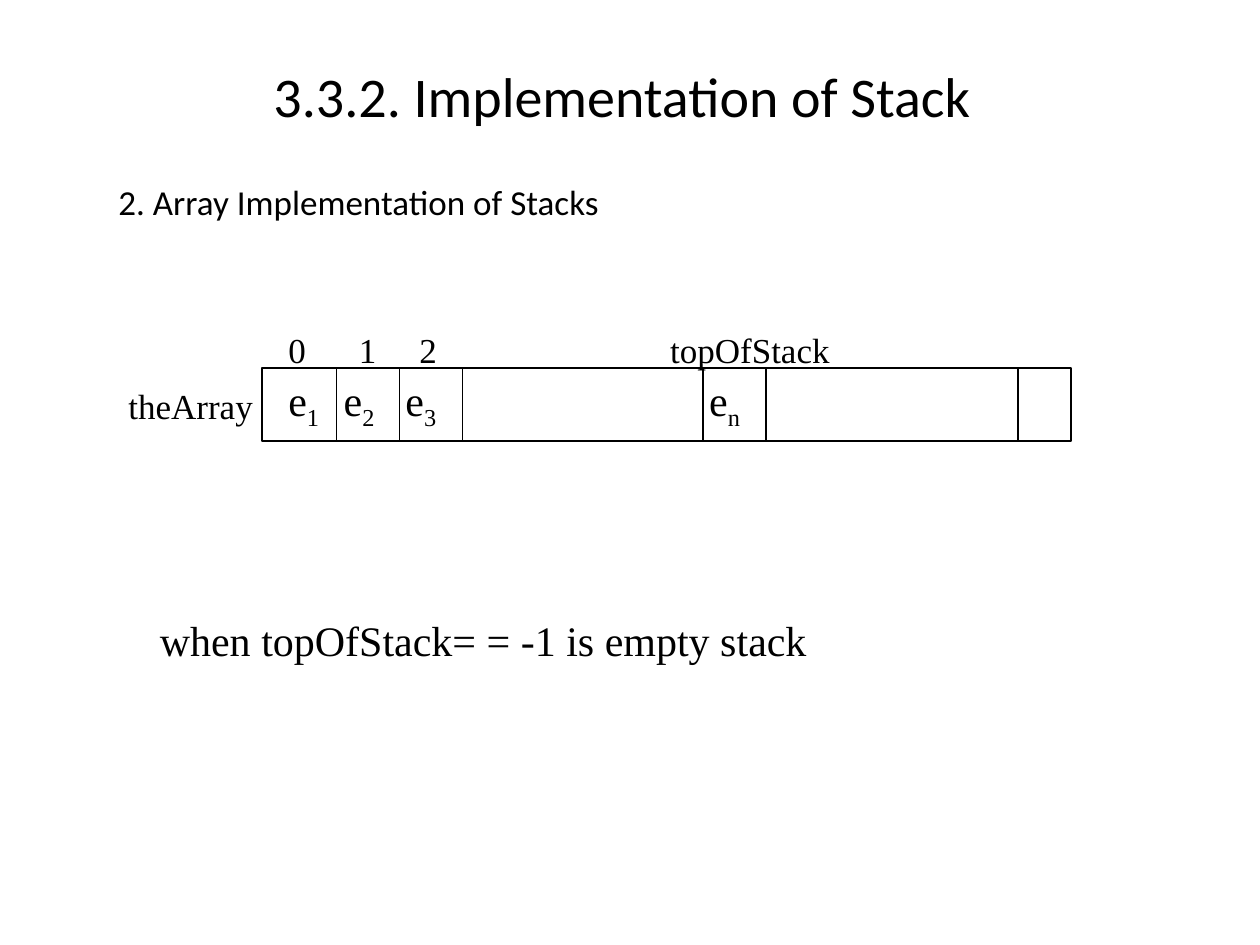
from dataclasses import dataclass

from pptx import Presentation
from pptx.dml.color import RGBColor
from pptx.enum.shapes import MSO_CONNECTOR, MSO_SHAPE
from pptx.enum.text import MSO_ANCHOR, PP_ALIGN
from pptx.oxml.ns import qn
from pptx.util import Inches, Pt
from lxml.etree import SubElement

BLACK = "000000"
ARRAY_LEFT, ARRAY_TOP, ARRAY_WIDTH, ARRAY_HEIGHT = 2.08, 2.92, 6.42, 0.58
DIVIDERS = [2.67, 3.17, 3.67, 5.58, 6.08, 8.08]


@dataclass
class Label:
    text: str
    left: float
    top: float
    width: float
    height: float = 0.43
    size: int = 20
    subscript: str = ""


INDEX_TOP = 2.56
LABELS = [
    Label("theArray", 0.92, 3, 1.42),
    Label("0", 2.19, INDEX_TOP, 0.4),
    Label("1", 2.75, INDEX_TOP, 0.4),
    Label("2", 3.23, INDEX_TOP, 0.4),
    Label("topOfStack", 5.22, INDEX_TOP, 1.6),
    Label("e", 2.19, ARRAY_TOP, 0.5, 0.56, 24, "1"),
    Label("e", 2.63, ARRAY_TOP, 0.5, 0.56, 24, "2"),
    Label("e", 3.12, ARRAY_TOP, 0.5, 0.56, 24, "3"),
    Label("e", 5.53, ARRAY_TOP, 0.5, 0.56, 24, "n"),
    Label("when topOfStack= = -1 is empty stack", 1.17, 4.83, 6.5, 0.56, 24),
]


def color(value: str) -> RGBColor:
    return RGBColor.from_string(value)


def style_font(font, name: str, size: int) -> None:
    font.name = name
    font.size = Pt(size)
    font.color.rgb = color(BLACK)


def place(shape, left: float, top: float, width: float, height: float) -> None:
    shape.left, shape.top = Inches(left), Inches(top)
    shape.width, shape.height = Inches(width), Inches(height)


def fill_placeholder(shape, text: str, size: int, margin_left: float):
    frame = shape.text_frame
    frame.text = text
    frame.margin_left = Inches(margin_left)
    paragraph = frame.paragraphs[0]
    paragraph.alignment = PP_ALIGN.LEFT
    paragraph.line_spacing = 0.9
    style_font(paragraph.font, "Calibri", size)
    return paragraph


def add_label(slide, label: Label) -> None:
    box = slide.shapes.add_textbox(
        Inches(label.left), Inches(label.top), Inches(label.width), Inches(label.height)
    )
    box.text_frame.word_wrap = True
    paragraph = box.text_frame.paragraphs[0]
    style_font(paragraph.font, "Times New Roman", label.size)
    paragraph.add_run().text = label.text
    if label.subscript:
        run = paragraph.add_run()
        run.text = label.subscript
        run.font._element.set("baseline", "-25000")


def add_divider(slide, x: float) -> None:
    line = slide.shapes.add_connector(
        MSO_CONNECTOR.STRAIGHT,
        Inches(x), Inches(ARRAY_TOP), Inches(x), Inches(ARRAY_TOP + ARRAY_HEIGHT),
    )
    line.line.color.rgb = color(BLACK)
    line.line.width = Pt(0.75)
    SubElement(line._element.spPr, qn("a:effectLst"))


def add_array(slide) -> None:
    array = slide.shapes.add_shape(
        MSO_SHAPE.RECTANGLE,
        Inches(ARRAY_LEFT), Inches(ARRAY_TOP), Inches(ARRAY_WIDTH), Inches(ARRAY_HEIGHT),
    )
    array.shadow.inherit = False
    array.fill.background()
    array.line.color.rgb = color(BLACK)
    array.line.width = Pt(0.75)
    for x in DIVIDERS:
        add_divider(slide, x)


def main() -> None:
    presentation = Presentation()
    presentation.slide_width, presentation.slide_height = Inches(10), Inches(7.5)
    slide = presentation.slides.add_slide(presentation.slide_layouts[1])

    title = slide.shapes.title
    place(title, 0.67, 0.25, 8.75, 1.08)
    fill_placeholder(title, "3.3.2. Implementation of Stack", 32, 1.5)
    title.text_frame.vertical_anchor = MSO_ANCHOR.MIDDLE

    body = slide.placeholders[1]
    place(body, 0.75, 1.33, 8.5, 2.58)
    paragraph = fill_placeholder(body, "2. Array Implementation of Stacks", 20, 0.19)
    body.text_frame.margin_top = Inches(0.14)
    paragraph.space_before = Pt(0)
    properties = paragraph._p.get_or_add_pPr()
    properties.set("marL", "0")
    properties.set("indent", "0")
    properties.insert_element_before(
        properties.makeelement(qn("a:buNone"), {}), "a:tabLst", "a:defRPr", "a:extLst"
    )

    add_array(slide)
    for label in LABELS:
        add_label(slide, label)
    presentation.save("out.pptx")


if __name__ == "__main__":
    main()
